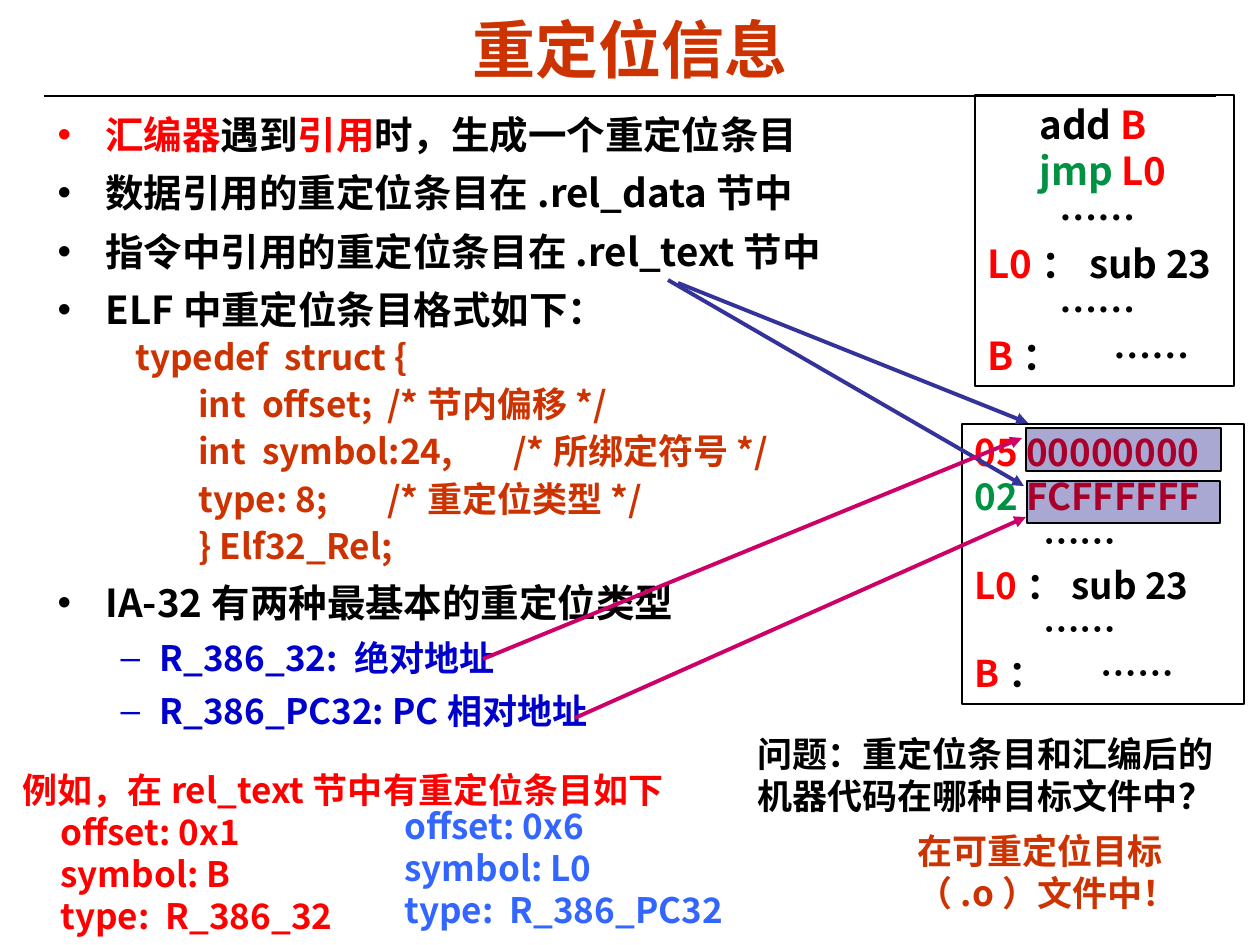
from lxml.etree import SubElement
from pptx import Presentation
from pptx.dml.color import RGBColor
from pptx.enum.shapes import MSO_CONNECTOR as Connector, MSO_SHAPE as Shape
from pptx.enum.text import MSO_ANCHOR as Anchor, MSO_AUTO_SIZE as AutoSize, PP_ALIGN as Align
from pptx.oxml.ns import qn
from pptx.util import Emu, Pt

SCALE = 914400 / 126
CJK, ARIAL = "Noto Sans CJK SC", "Arial"
BLACK, RED, GREEN, RUST = "000000", "FF0000", "009242", "CC3300"
BLUE, SKY, NAVY, INDIGO, PINK = "0000CC", "3366FF", "000080", "333399", "CC0066"

TITLE = "重定位信息"
BODY = [
    (0, 4.4, [("汇编器", RED), ("遇到", BLACK), ("引用", RED), ("时，生成一个重定位条目", BLACK)]),
    (0, 4.4, [("数据引用的重定位条目在.rel_data节中", BLACK)]),
    (0, 4.4, [("指令中引用的重定位条目在.rel_text节中", BLACK)]),
    (0, 4.4, [("ELF中重定位条目格式如下：", BLACK)]),
    (0, 138, [("IA-32有两种最基本的重定位类型", BLACK)]),
    (1, 4, [("R_386_32: 绝对地址", BLUE)]),
    (1, 4, [("R_386_PC32: PC相对地址", BLUE)]),
]
LEVELS = [dict(size=22, margin=48, hang=-48), dict(size=20, margin=102, hang=-39)]

STRUCT = [
    ([], "typedef  struct {"),
    ([126, 380], "\tint  offset;\t/*节内偏移*/"),
    ([126, 397], "\tint  symbol:24,\t/*所绑定符号*/"),
    ([159, 344], "\ttype: 8;\t/*重定位类型*/"),
    ([126], "\t} Elf32_Rel;"),
]
TAIL = [
    (72, [("……", BLACK)]),
    (0, [("L0", RED), ("：sub 23", BLACK)]),
    (72, [("……", BLACK)]),
    (0, [("B", RED), ("：\t……", BLACK)]),
]
SOURCE = [(52, [("add ", BLACK), ("B", RED)]), (52, [("jmp ", GREEN), ("L0", RED)])] + TAIL
MACHINE = [(0, [("05 00000000", RED)]), (0, [("02 ", GREEN), ("FCFFFFFF", RED)])] + TAIL
LISTINGS = [((975, 95, 259, 291), 22, SOURCE), ((962, 424, 282, 280), 21, MACHINE)]
ENTRIES = [
    ((10, 762, 675, 180), RED, [(0, "例如，在rel_text节中有重定位条目如下"), (38, "offset: 0x1"),
                                (38, "symbol: B"), (38, "type:  R_386_32")]),
    ((392, 798, 512, 138), SKY, [(0, "offset: 0x6"), (0, "symbol: L0"), (0, "type:  R_386_PC32")]),
]
QUESTIONS = [
    ((745, 726, 508, 97), ARIAL, BLACK, "问题：重定位条目和汇编后的机器代码在哪种目标文件中？"),
    ((905, 823, 297, 97), CJK, RUST, "在可重定位目标（.o）文件中！"),
]
HIGHLIGHTS = [(1026, 428, 195, 43), (1027, 481, 193, 42)]
ARROWS = [
    ((668, 280), (1024, 486), INDIGO), ((678, 283), (1028, 423), INDIGO),
    ((483, 659), (1022, 438), PINK), ((575, 718), (1026, 517), PINK),
]


def px(value):
    return Emu(round(value * SCALE))


def color(text):
    return RGBColor.from_string(text)


def place(shape, area):
    for name, value in zip(("left", "top", "width", "height"), area):
        setattr(shape, name, px(value))


def write(para, runs, size, font=CJK, margin=0, hang=0, tabs=(), **layout):
    for name, value in layout.items():
        setattr(para, name, value)
    props = para._p.get_or_add_pPr()
    props.set("marL", str(px(margin)))
    props.set("indent", str(px(hang)))
    if tabs:
        tab_list = SubElement(props, qn("a:tabLst"))
        for stop in tabs:
            SubElement(tab_list, qn("a:tab"), pos=str(px(stop)), algn="l")
    for text, shade in runs:
        span = para.add_run()
        span.text = text
        for name, value in dict(size=Pt(size), bold=True, name=font).items():
            setattr(span.font, name, value)
        span.font.color.rgb = color(shade)
        SubElement(span._r.get_or_add_rPr(), qn("a:ea"), typeface=font)


def prepare(frame, anchor=Anchor.TOP):
    for name, value in dict(word_wrap=True, auto_size=AutoSize.NONE, vertical_anchor=anchor).items():
        setattr(frame, name, value)


def fill_frame(frame, rows):
    for index, row in enumerate(rows):
        para = frame.add_paragraph() if index else frame.paragraphs[0]
        write(para, **row)


def add_text(area, rows):
    box = page.shapes.add_textbox(*map(px, area))
    prepare(box.text_frame)
    fill_frame(box.text_frame, rows)


def add_box(area):
    box = page.shapes.add_shape(Shape.RECTANGLE, *map(px, area))
    box.shadow.inherit = False
    box.fill.background()
    box.line.color.rgb = color(BLACK)
    box.line.width = Pt(0.75)
    return box


def add_line(start, end, shade, width):
    line = page.shapes.add_connector(Connector.STRAIGHT, *map(px, start + end))
    line.line.color.rgb = color(shade)
    line.line.width = Pt(width)
    SubElement(line._element.spPr, qn("a:effectLst"))
    return line


deck = Presentation()
deck.slide_width, deck.slide_height = px(1260), px(945)
page = deck.slides.add_slide(deck.slide_layouts[1])
title, body = page.placeholders

add_line((44, 96), (1216, 96), BLACK, 0.75)
place(title, (63, 10, 1134, 77))
prepare(title.text_frame, Anchor.MIDDLE)
fill_frame(title.text_frame, [dict(runs=[(TITLE, RUST)], size=36, font=ARIAL, alignment=Align.CENTER)])

place(body, (45, 100, 1174, 687))
prepare(body.text_frame)
fill_frame(body.text_frame, [
    dict(runs=runs, level=level, space_before=Pt(gap),
         line_spacing=Pt(LEVELS[level]["size"] * 1.32), **LEVELS[level])
    for level, gap, runs in BODY])

add_text((123, 329, 690, 248), [
    dict(runs=[(text, RUST)], size=20, tabs=tabs, space_before=Pt(3), line_spacing=Pt(24))
    for tabs, text in STRUCT])

for area, size, rows in LISTINGS:
    listing = add_box(area)
    prepare(listing.text_frame)
    fill_frame(listing.text_frame, [
        dict(runs=runs, size=size, margin=margin * size / 22, tabs=[93 * size / 22],
             alignment=Align.LEFT, line_spacing=Pt(size * 1.2))
        for margin, runs in rows])

for area, shade, rows in ENTRIES:
    add_text(area, [dict(runs=[(text, shade)], size=20, margin=margin, line_spacing=Pt(24))
                    for margin, text in rows])

for area, font, shade, text in QUESTIONS:
    add_text(area, [dict(runs=[(text, shade)], size=20, font=font, line_spacing=Pt(24))])

for area in HIGHLIGHTS:
    patch = add_box(area)
    patch.fill.solid()
    patch.fill.fore_color.rgb = color(NAVY)
    SubElement(patch.fill._xPr.find(qn("a:solidFill"))[0], qn("a:alpha"), val="34000")

for start, end, shade in ARROWS:
    arrow = add_line(start, end, shade, 2.25)
    SubElement(arrow.line._get_or_add_ln(), qn("a:tailEnd"), type="triangle")

deck.save("out.pptx")
